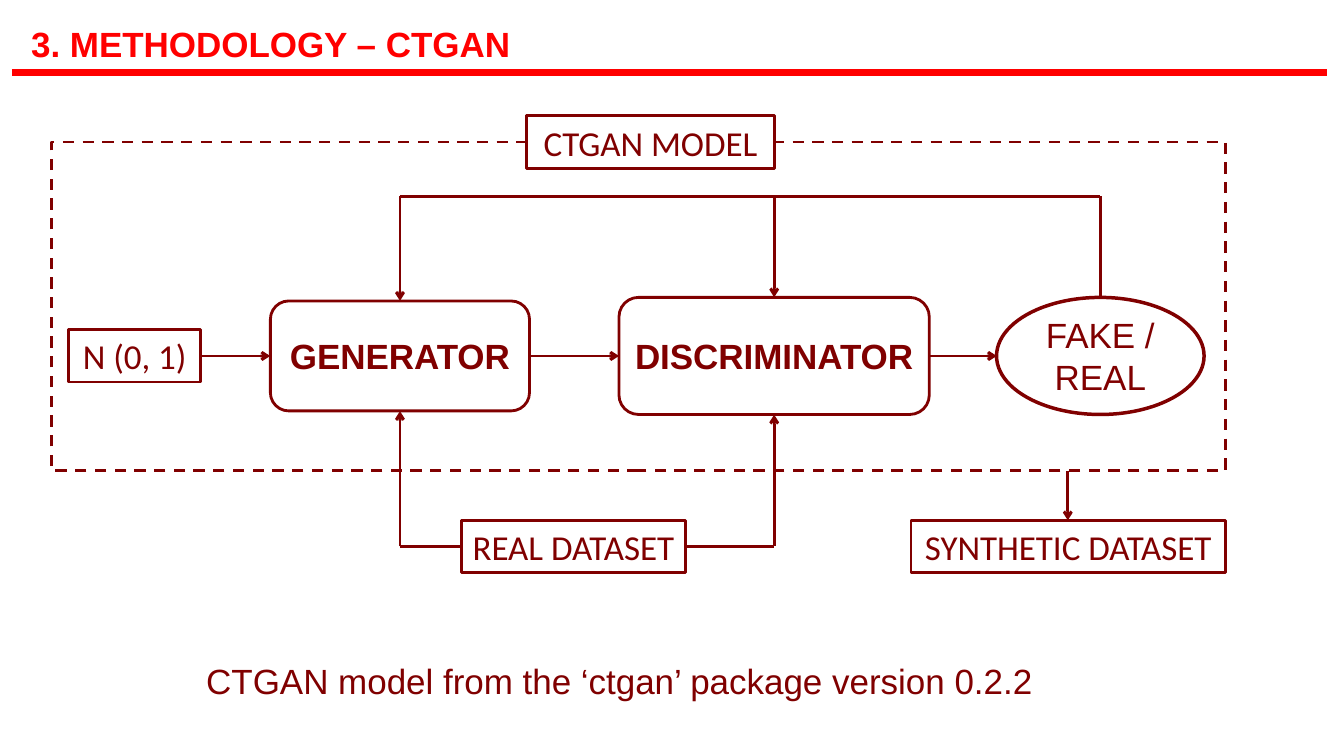
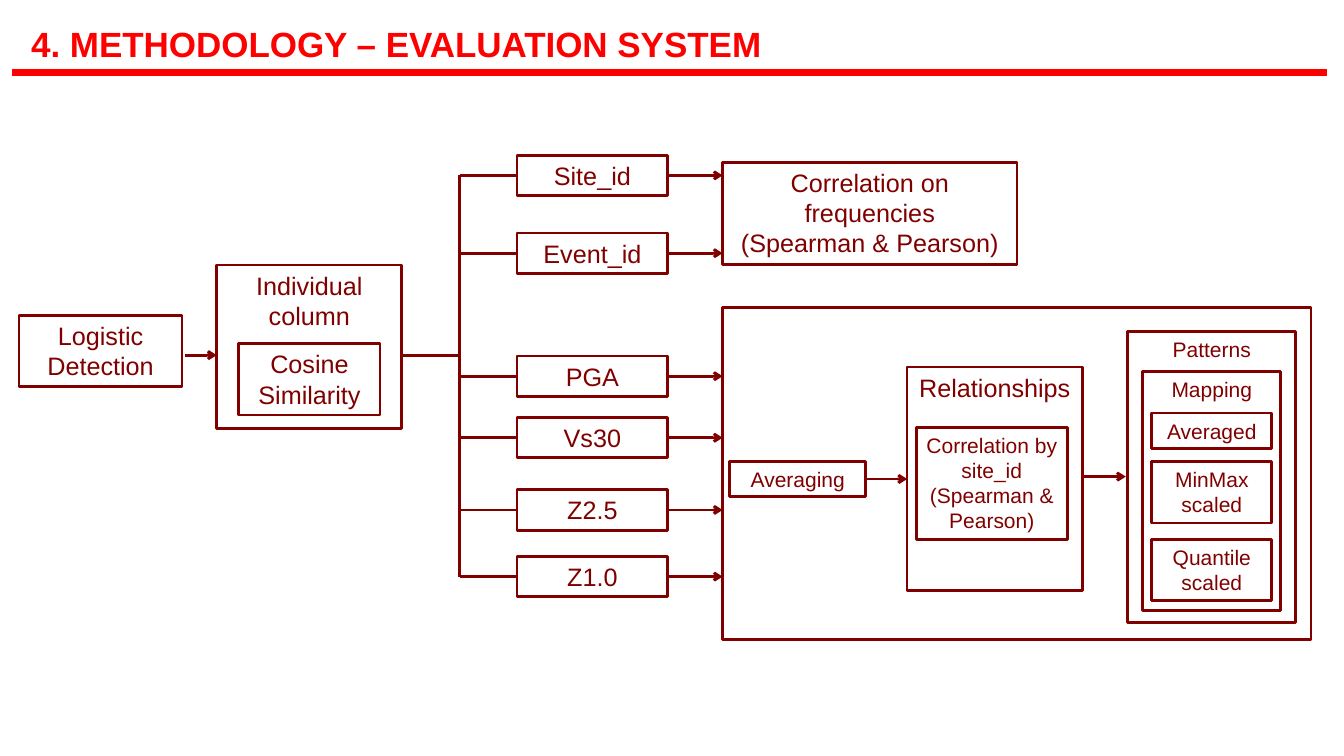
from lxml.etree import SubElement
from pptx import Presentation
from pptx.dml.color import RGBColor as Rgb
from pptx.enum.dml import MSO_LINE_DASH_STYLE as Dash
from pptx.enum.shapes import MSO_CONNECTOR_TYPE as Join, MSO_SHAPE as Form
from pptx.enum.text import MSO_ANCHOR as Anchor, MSO_AUTO_SIZE as Fit, PP_ALIGN as Align
from pptx.oxml.ns import qn
from pptx.util import Cm, Pt

HUES = {"head": "FF0000", "ink": "800000", "paper": "FFFFFF"}


class Deck:
    """Hold the style of the deck and the slide being drawn."""

    def __init__(self):
        self.file = Presentation()
        self.file.slide_width, self.file.slide_height = Cm(33.87), Cm(19.05)
        self.slide = self.home = None

    def hue(self, name):
        return Rgb.from_string(HUES[name])

    def style(self, frame, size, font="Arial", hue="ink", bold=False, align=Align.CENTER):
        for para in frame.paragraphs:
            para.alignment = align
            for run in para.runs:
                run.font.name, run.font.size, run.font.bold = font, Pt(size), bold
                run.font.color.rgb = self.hue(hue)

    def place(self, item, x, y, w, h):
        item.left, item.top, item.width, item.height = Cm(x), Cm(y), Cm(w), Cm(h)

    def page(self, title, kind):
        self.slide = self.file.slides.add_slide(self.file.slide_layouts[kind])
        self.home = self.slide.shapes
        head = self.home.title
        self.place(head, 0.53, 0.36, 29.21, 1.6)
        frame = head.text_frame
        frame.text = title
        frame.auto_size, frame.vertical_anchor = Fit.NONE, Anchor.MIDDLE
        frame.paragraphs[0].line_spacing = 0.9
        self.style(frame, 25, hue="head", bold=True, align=Align.LEFT)
        self.link(0.3, 1.83, 33.43, 1.83, hue="head", wide=4.5)

    def body(self, text, x, y, w, h):
        item = self.slide.placeholders[1]
        self.place(item, x, y, w, h)
        frame = item.text_frame
        frame.text = text
        frame.auto_size = Fit.NONE
        for para in frame.paragraphs:
            props = para._p.get_or_add_pPr()
            props.set("marL", "0")
            props.set("indent", "0")
            SubElement(props, qn("a:buNone"))
            para.line_spacing, para.space_before = 1.5, Pt(0)
        self.style(frame, 25)

    def box(self, x, y, w, h, text="", size=18, font="Arial", bold=False,
            form=Form.RECTANGLE, wide=2, fill=None, anchor=Anchor.TOP):
        item = self.home.add_shape(form, Cm(x), Cm(y), Cm(w), Cm(h))
        item.shadow.inherit = False
        if fill:
            item.fill.solid()
            item.fill.fore_color.rgb = self.hue(fill)
        else:
            item.fill.background()
        item.line.color.rgb, item.line.width = self.hue("ink"), Pt(wide)
        frame = item.text_frame
        frame.text, frame.word_wrap, frame.vertical_anchor = text, True, anchor
        frame.margin_left = frame.margin_right = Cm(0.2)
        self.style(frame, size, font, bold=bold)
        return item

    def tag(self, x, y, w, text, fill=None):
        self.box(x, y, w, 1.32, text, 25, "Calibri", fill=fill, anchor=Anchor.MIDDLE)

    def pack(self, *rows):
        self.home = self.slide.shapes.add_group_shape().shapes
        for row in rows:
            self.box(*row)
        self.home = self.slide.shapes

    def link(self, x, y, to_x, to_y, arrow=False, hue="ink", wide=2):
        item = self.home.add_connector(Join.STRAIGHT, Cm(x), Cm(y), Cm(to_x), Cm(to_y))
        item.line.color.rgb, item.line.width = self.hue(hue), Pt(wide)
        props = item.element.spPr
        if arrow:
            SubElement(props.find(qn("a:ln")), qn("a:tailEnd"), type="arrow")
        SubElement(props, qn("a:effectLst"))


def draw_model(deck):
    deck.page("3. METHODOLOGY – CTGAN", 1)
    mid, top, low = 8.97, 4.95, 13.77
    gen, disc, fake = 10.08, 19.51, 27.73
    deck.box(1.3, 3.58, 29.59, 8.28).line.dash_style = Dash.DASH

    for text, x, w, h, form, wide in (
        ("GENERATOR", gen, 6.53, 2.77, Form.ROUNDED_RECTANGLE, 2),
        ("DISCRIMINATOR", disc, 7.82, 2.95, Form.ROUNDED_RECTANGLE, 2),
        ("FAKE / REAL", fake, 5.23, 2.95, Form.OVAL, 2.5),
    ):
        deck.box(x - w / 2, mid - h / 2, w, h, text, 25, bold=form != Form.OVAL,
                 form=form, wide=wide, anchor=Anchor.MIDDLE)
    deck.tag(1.73, mid - 0.66, 3.33, "N (0, 1)")
    deck.tag(11.63, low - 0.66, 5.64, "REAL DATASET")
    deck.tag(22.96, low - 0.66, 7.92, "SYNTHETIC DATASET")
    deck.tag(13.26, 2.92, 6.27, "CTGAN MODEL", "paper")

    for x, to_x in ((5.06, 6.81), (13.34, 15.6), (23.42, 25.12)):
        deck.link(x, mid, to_x, mid, True)
    deck.link(gen, top, fake, top)
    deck.link(fake, top, fake, 7.49)
    for x, half, edge in ((gen, 1.39, 11.63), (disc, 1.48, 17.27)):
        deck.link(x, top, x, mid - half, True)
        deck.link(edge, low, x, low)
        deck.link(x, low, x, mid + half, True)
    deck.link(26.91, 11.86, 26.91, low - 0.66, True)
    deck.body("CTGAN model from the ‘ctgan’ package version 0.2.2", 4.9, 15.95, 21.41, 1.5)


def draw_tests(deck):
    deck.page("4. METHODOLOGY – EVALUATION SYSTEM", 5)
    mid, trunk, left, wide, edge = 8.95, 11.58, 13.03, 3.8, 18.21
    deck.box(0.48, 7.95, 4.11, 1.8, "Logistic Detection")
    deck.pack((5.46, 6.68, 4.67, 4.11, "Individual column"),
              (6.02, 8.66, 3.56, 1.8, "Cosine Similarity"))
    deck.link(4.65, mid, 5.46, mid, True)
    deck.link(10.13, mid, trunk, mid)

    rows = {"Site_id": 4.42, "Event_id": 6.38, "PGA": 9.48,
            "Vs30": 11.03, "Z2.5": 12.85, "Z1.0": 14.53}
    deck.link(trunk, min(rows.values()), trunk, max(rows.values()))
    for text, y in rows.items():
        deck.box(left, y - 0.51, wide, 1.02, text)
        deck.link(trunk, y, left, y)
        deck.link(left + wide, y, edge, y, True)

    deck.box(edge, 4.09, 7.42, 2.57, "Correlation on frequencies\n(Spearman & Pearson)")
    deck.box(edge, 7.75, 14.83, 8.36)
    deck.box(18.39, 11.63, 3.43, 0.89, "Averaging", 15)
    deck.pack((22.86, 9.25, 4.42, 5.64, "Relationships"),
              (23.09, 10.77, 3.81, 2.82, "Correlation by site_id\n(Spearman & Pearson)", 15))
    deck.pack((28.42, 8.36, 4.24, 7.32, "Patterns", 15),
              (28.8, 9.37, 3.48, 6.02, "Mapping", 15),
              (29.03, 10.41, 3.02, 0.89, "Averaged", 15),
              (29.03, 11.63, 3.02, 1.55, "MinMax scaled", 15),
              (29.03, 13.59, 3.02, 1.55, "Quantile scaled", 15))
    deck.link(21.82, 12.07, 22.86, 12.07, True)
    deck.link(27.33, 12.01, 28.37, 12.01, True)


def main():
    deck = Deck()
    draw_model(deck)
    draw_tests(deck)
    deck.file.save("out.pptx")


if __name__ == "__main__":
    main()
